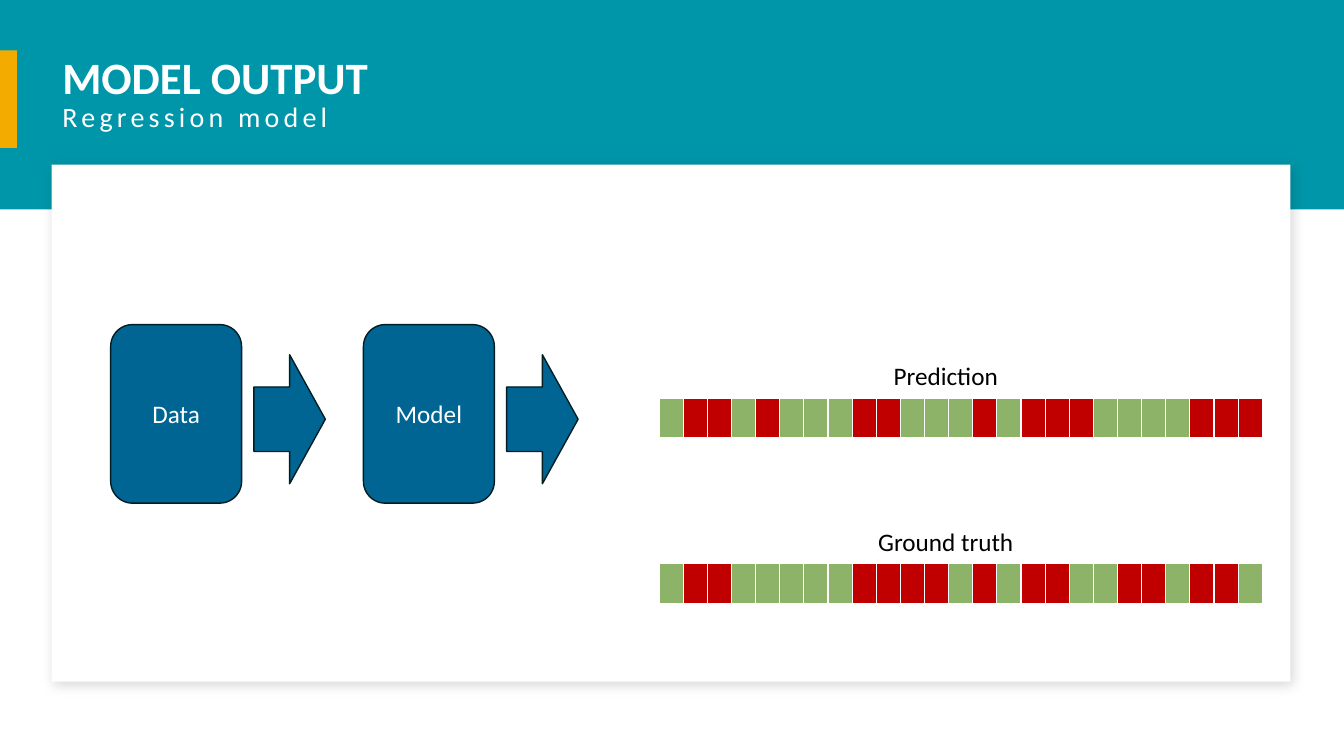
from lxml import etree
from pptx import Presentation
from pptx.dml.color import RGBColor
from pptx.enum import shapes, text
from pptx.oxml import parse_xml
from pptx.oxml.ns import nsdecls, qn
from pptx.util import Cm, Pt

TEAL, AMBER, BLUE, INK, WHITE, BLACK = "0096A9", "F3AB00", "006592", "001E23", "FFFFFF", "000000"
CELL_FILLS = {"G": "8CB367", "R": "C00000"}
PREDICTION = "GRRGRGGGRRGGGRGRRRGGGGRRR"
GROUND_TRUTH = "GRRGGGGGRRRRGRGRRGGRRGRRG"
BORDERS = {"a:lnL": 1, "a:lnR": 1, "a:lnT": 1, "a:lnB": 3}


def rgb(value):
    return RGBColor.from_string(value)


def write(sp, words, color, align=text.PP_ALIGN.LEFT, anchor=text.MSO_ANCHOR.TOP,
          wrap=True, spacing=None, tracking=None, **font):
    tf = sp.text_frame
    tf.word_wrap = wrap
    tf.vertical_anchor = anchor
    p = tf.paragraphs[0]
    p.alignment = align
    p.space_before = Pt(0)
    p.line_spacing = spacing
    r = p.add_run()
    r.text = words
    for name, value in {"name": "Calibri", "size": Pt(18), "bold": False, **font}.items():
        setattr(r.font, name, value)
    r.font.color.rgb = rgb(color)
    if tracking:
        r.font._element.set("spc", str(tracking * 100))


def add_box(s, kind, left, top, width, height, fill, line=None):
    sp = s.shapes.add_shape(kind, Cm(left), Cm(top), Cm(width), Cm(height))
    sp.shadow.inherit = False
    sp.fill.solid()
    sp.fill.fore_color.rgb = rgb(fill)
    if line:
        sp.line.color.rgb = rgb(line)
        sp.line.width = Pt(1)
    else:
        sp.line.fill.background()
    return sp


def add_textbox(s, left, top, width, height):
    return s.shapes.add_textbox(Cm(left), Cm(top), Cm(width), Cm(height))


def add_backdrop(s, width):
    rect = shapes.MSO_SHAPE.RECTANGLE
    add_box(s, rect, 0, 0, width, 5.28, TEAL)
    card = add_box(s, rect, 1.3, 4.15, 31.22, 13.03, WHITE)
    effects = card.element.spPr.find(qn("a:effectLst"))
    effects.append(parse_xml(
        f'<a:outerShdw {nsdecls("a")} blurRad="{Pt(9)}" dist="{Pt(3)}" dir="2700000" algn="tl" '
        'rotWithShape="0"><a:srgbClr val="000000"><a:alpha val="15000"/></a:srgbClr></a:outerShdw>'))
    add_box(s, rect, 0, 1.27, 0.43, 2.46, AMBER)


def add_heading(s, left, top, width):
    heading = add_textbox(s, left, top, width, 1.14)
    write(heading, "MODEL OUTPUT", WHITE, spacing=0.9, size=Pt(32), bold=True)
    title = s.shapes.title
    title.element.getparent().append(title.element)
    box = {"left": left, "top": top + 1.32, "width": width, "height": 0.81}
    for name, value in box.items():
        setattr(title, name, Cm(value))
    write(title, "Regression model", WHITE, anchor=text.MSO_ANCHOR.MIDDLE,
          spacing=0.9, tracking=3, size=Pt(20))


def add_step(s, left, top, name):
    block = add_box(s, shapes.MSO_SHAPE.ROUNDED_RECTANGLE, left, top, 3.3, 4.5, BLUE, INK)
    write(block, name, WHITE, text.PP_ALIGN.CENTER, text.MSO_ANCHOR.MIDDLE)
    add_box(s, shapes.MSO_SHAPE.RIGHT_ARROW, left + 3.61, top + 0.76, 1.8, 3.25, BLUE, INK)


def style_cell(cell, fill):
    cell.fill.solid()
    cell.fill.fore_color.rgb = rgb(fill)
    tcPr = cell._tc.get_or_add_tcPr()
    for i, (tag, points) in enumerate(BORDERS.items()):
        ln = etree.Element(qn(tag), w=str(Pt(points)))
        solid = etree.SubElement(ln, qn("a:solidFill"))
        etree.SubElement(solid, qn("a:srgbClr"), val=WHITE)
        tcPr.insert(i, ln)


def add_sequence(s, left, top, width, name, label_width, labels):
    height = 1.04
    frame = s.shapes.add_table(1, len(labels), Cm(left), Cm(top), Cm(width), Cm(height))
    for column, cell, label in zip(frame.table.columns, frame.table.rows[0].cells, labels):
        column.width = Cm(width / len(labels))
        style_cell(cell, CELL_FILLS[label])
    caption = add_textbox(s, left + (width - label_width) / 2, top - 1.07, label_width, 1.03)
    write(caption, name, BLACK, text.PP_ALIGN.CENTER, wrap=False)


def main():
    prs = Presentation()
    prs.slide_width, prs.slide_height = Cm(33.87), Cm(19.05)
    s = prs.slides.add_slide(prs.slide_layouts[5])
    add_backdrop(s, 33.87)
    add_heading(s, 1.32, 1.27, 31.52)
    for i, name in enumerate(("Data", "Model")):
        add_step(s, 2.79 + i * 6.37, 8.18, name)
    add_sequence(s, 16.61, 10.03, 14.45, "Prediction", 3.18, PREDICTION)
    add_sequence(s, 16.61, 14.2, 14.45, "Ground truth", 3.96, GROUND_TRUTH)
    prs.save("out.pptx")


if __name__ == "__main__":
    main()
